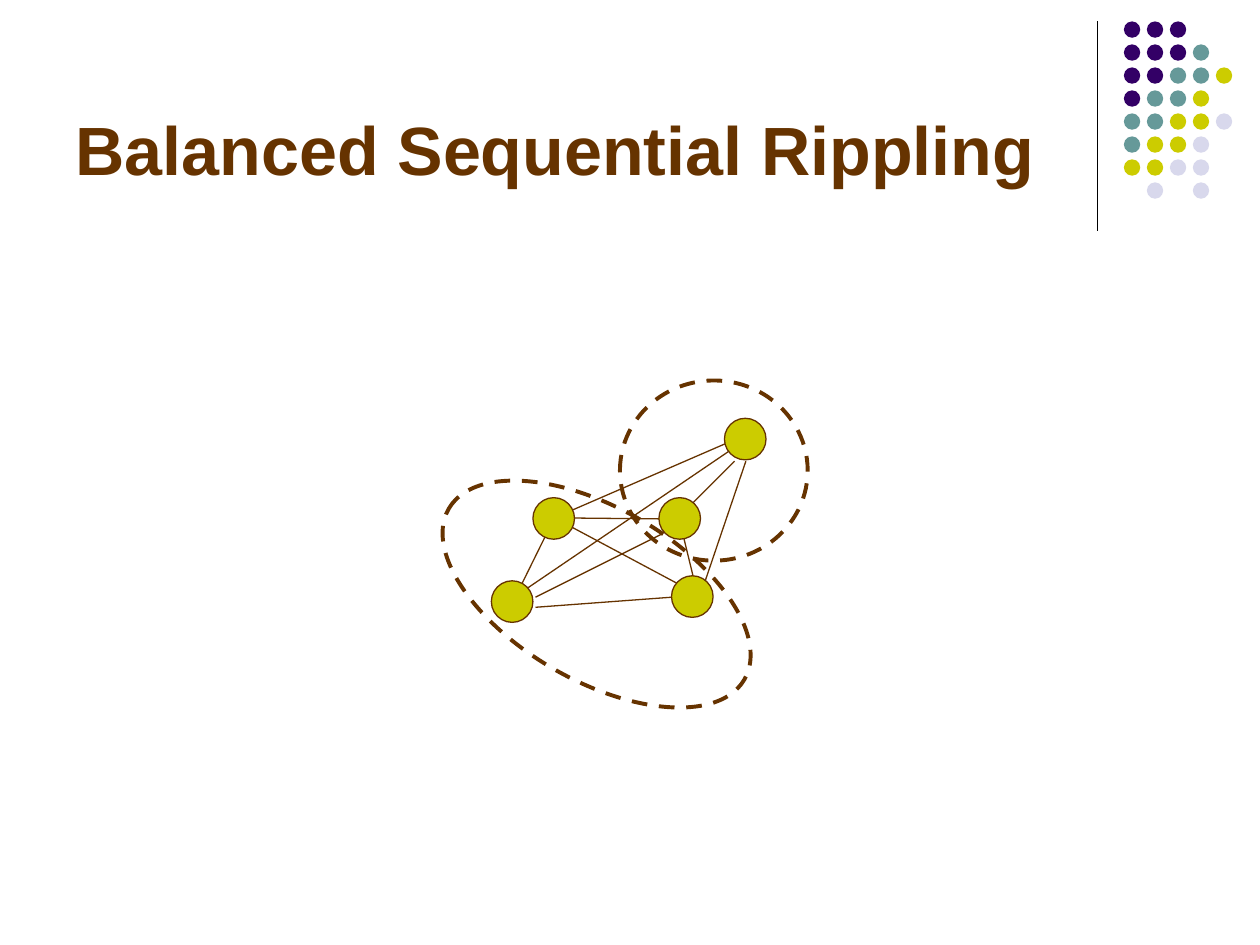
"""Build the Balanced Sequential Rippling slide."""
from pptx import Presentation
from pptx.dml.color import RGBColor
from pptx.enum.dml import MSO_LINE
from pptx.enum.shapes import MSO_CONNECTOR, MSO_SHAPE
from pptx.enum.text import MSO_ANCHOR
from pptx.oxml.ns import qn
from pptx.util import Inches, Pt

OVAL = MSO_SHAPE.OVAL
STRAIGHT = MSO_CONNECTOR.STRAIGHT
DASH = MSO_LINE.DASH
BOTTOM = MSO_ANCHOR.BOTTOM

COLORS = {
    "black": "000000",
    "brown": "663300",
    "purple": "330066",
    "teal": "669999",
    "olive": "CCCC00",
    "lilac": "D8D8EC",
}


def add_line(s, x1, y1, x2, y2, color):
    c = s.shapes.add_connector(STRAIGHT, Inches(x1), Inches(y1), Inches(x2), Inches(y2))
    c.line.color.rgb = RGBColor.from_string(COLORS[color])
    c.line.width = Pt(0.75)
    c._element.spPr.append(c._element.makeelement(qn("a:effectLst"), {}))


def add_oval(s, x, y, w, h, fill=None, line_width=None):
    sp = s.shapes.add_shape(OVAL, Inches(x), Inches(y), Inches(w), Inches(h))
    sp.shadow.inherit = False
    if fill:
        sp.fill.solid()
        sp.fill.fore_color.rgb = RGBColor.from_string(COLORS[fill])
    else:
        sp.fill.background()
    if line_width:
        sp.line.color.rgb = RGBColor.from_string(COLORS["brown"])
        sp.line.width = Pt(line_width)
    else:
        sp.line.fill.background()
    return sp


prs = Presentation()
prs.slide_width, prs.slide_height = Inches(10), Inches(7.5)
s = prs.slides.add_slide(prs.slide_layouts[6])

add_line(s, 8.71, 0.17, 8.71, 1.83, "black")

dot_colors = {"P": "purple", "T": "teal", "O": "olive", "L": "lilac"}
dot_rows = ["PPP", "PPPT", "PPTTO", "PTTO", "TTOOL", "TOOL", "OOLL", " L L"]
pitch = 0.73 / 4
for row, codes in enumerate(dot_rows):
    for col, code in enumerate(codes):
        if code in dot_colors:
            add_oval(s, 8.92 + col * pitch, 0.17 + row * pitch, 0.13, 0.13, dot_colors[code])

title = s.shapes.add_textbox(Inches(0.5), Inches(0.13), Inches(8.25), Inches(1.42))
tf = title.text_frame
tf.word_wrap = True
tf.vertical_anchor = BOTTOM
p = tf.paragraphs[0]
r = p.add_run()
r.text = "Balanced Sequential Rippling"
for name, value in {"name": "Arial", "size": Pt(39), "bold": True}.items():
    setattr(r.font, name, value)
r.font.color.rgb = RGBColor.from_string(COLORS["brown"])

edges = [
    (4.4, 4.11, 4.07, 4.78),
    (4.4, 4.11, 5.58, 4.74),
    (4.4, 4.11, 5.4, 4.12),
    (5.83, 3.49, 4.4, 4.11),
    (5.92, 3.49, 4.08, 4.74),
    (5.83, 3.66, 5.5, 3.99),
    (5.25, 4.24, 4.25, 4.74),
    (5.92, 3.66, 5.58, 4.66),
    (5.5, 4.57, 5.42, 4.24),
    (5.33, 4.74, 4.25, 4.82),
]
for edge in edges:
    add_line(s, *edge, "brown")

groups = [(4.92, 3.02, 1.49, 1.43, 0), (3.38, 4.03, 2.71, 1.37, 30)]
for x, y, w, h, angle in groups:
    sp = add_oval(s, x, y, w, h, line_width=2.25)
    sp.line.dash_style = DASH
    sp.rotation = angle

nodes = [(4.23, 3.95), (3.9, 4.61), (5.23, 3.95), (5.33, 4.57), (5.75, 3.32)]
for x, y in nodes:
    add_oval(s, x, y, 0.33, 0.33, "olive", 0.75)

prs.save("out.pptx")
